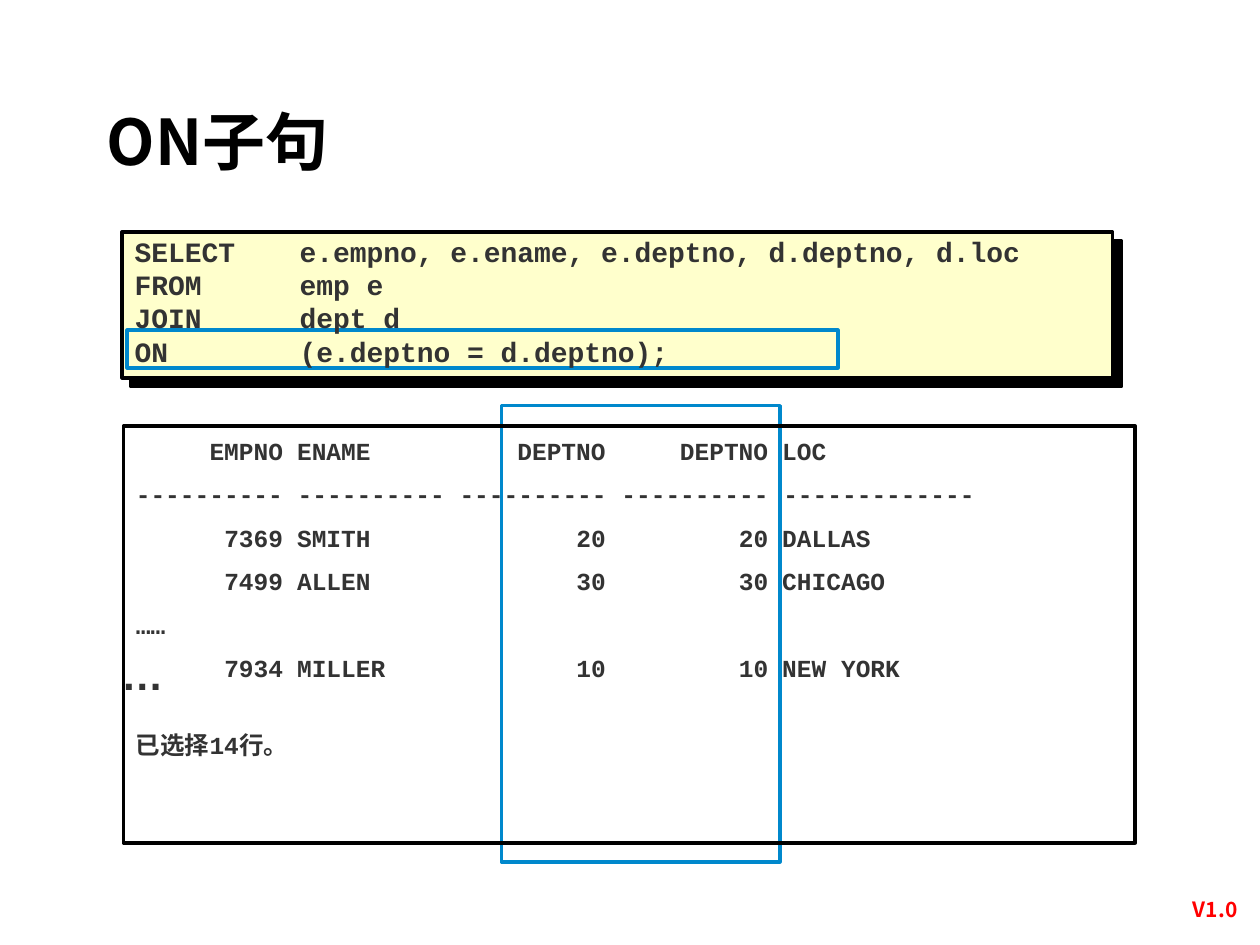
"""Build a slide that explains the ON clause of a SQL join."""
from dataclasses import dataclass
from typing import Optional

import lxml.etree
import pptx
import pptx.dml.color
import pptx.enum.shapes
import pptx.enum.text
import pptx.oxml.ns
import pptx.util

Inches = pptx.util.Inches
Pt = pptx.util.Pt
Align = pptx.enum.text.PP_ALIGN
Anchor = pptx.enum.text.MSO_ANCHOR
qn = pptx.oxml.ns.qn

COLORS = {"black": "000000", "code": "333333", "cream": "FFFFCC",
          "blue": "0088CC", "red": "FF0000"}
MONO, SANS, CJK = "Courier New", "Arial", "Noto Sans CJK SC"
CHAR = 14 * 0.6 / 72


@dataclass
class Frame:
    left: float
    top: float
    width: float
    height: float
    line: str
    fill: Optional[str] = None
    shadow: bool = False


@dataclass
class Label:
    left: float
    top: float
    width: float
    height: float
    lines: list[str]
    size: float
    font: str
    color: str = "code"
    align: Align = Align.LEFT
    anchor: Anchor = Anchor.TOP
    inset: tuple[float, float] = (0.1, 0.05)
    wrap: bool = True
    tabs: tuple[tuple[float, str], ...] = ()
    leading: Optional[float] = None
    gap: float = 0
    last_gap: Optional[float] = None


def rgb(name: str) -> pptx.dml.color.RGBColor:
    return pptx.dml.color.RGBColor.from_string(COLORS[name])


def add_shadow(shape) -> None:
    effects = shape._element.spPr.find(qn("a:effectLst"))
    shadow = lxml.etree.SubElement(effects, qn("a:outerShdw"), dist=str(Pt(7.1)),
                                   dir="2700000", algn="ctr", rotWithShape="0")
    lxml.etree.SubElement(shadow, qn("a:srgbClr"), val=COLORS["black"])


def draw_frame(page, frame: Frame) -> None:
    shape = page.shapes.add_shape(
        pptx.enum.shapes.MSO_SHAPE.RECTANGLE, Inches(frame.left), Inches(frame.top),
        Inches(frame.width), Inches(frame.height))
    shape.shadow.inherit = False
    shape.line.color.rgb = rgb(frame.line)
    shape.line.width = Pt(2)
    if frame.fill:
        shape.fill.solid()
        shape.fill.fore_color.rgb = rgb(frame.fill)
    else:
        shape.fill.background()
    if frame.shadow:
        add_shadow(shape)


def set_tabs(para, tabs: tuple[tuple[float, str], ...]) -> None:
    stops = lxml.etree.SubElement(para._p.get_or_add_pPr(), qn("a:tabLst"))
    for position, side in tabs:
        lxml.etree.SubElement(stops, qn("a:tab"), pos=str(Inches(position)), algn=side)


def draw_label(page, label: Label) -> None:
    box = page.shapes.add_textbox(Inches(label.left), Inches(label.top),
                                  Inches(label.width), Inches(label.height))
    frame = box.text_frame
    frame.word_wrap = label.wrap
    frame.vertical_anchor = label.anchor
    frame.margin_left = frame.margin_right = Inches(label.inset[0])
    frame.margin_top = frame.margin_bottom = Inches(label.inset[1])
    frame.text = "\n".join(label.lines)
    for index, para in enumerate(frame.paragraphs):
        para.alignment = label.align
        if label.leading:
            para.line_spacing = Pt(label.leading)
        para.space_before = Pt(label.gap if index else 0)
        if label.tabs:
            set_tabs(para, label.tabs)
        for span in para.runs:
            span.font.size = Pt(label.size)
            span.font.bold = True
            span.font.name = label.font
            span.font.color.rgb = rgb(label.color)
            lxml.etree.SubElement(span._r.get_or_add_rPr(), qn("a:ea"), typeface=CJK)
    if label.last_gap is not None:
        frame.paragraphs[-1].space_before = Pt(label.last_gap)


QUERY = ["SELECT\te.empno, e.ename, e.deptno, d.deptno, d.loc", "FROM\temp e",
         "JOIN\tdept d", "ON\t(e.deptno = d.deptno);"]
ROWS = [("EMPNO", "ENAME", "DEPTNO", "DEPTNO", "LOC"),
        ("7369", "SMITH", "20", "20", "DALLAS"),
        ("7499", "ALLEN", "30", "30", "CHICAGO"),
        ("7934", "MILLER", "10", "10", "NEW YORK")]
header, *records = ["\t" + "\t".join(row) for row in ROWS]
rule = " ".join("-" * width for width in (10, 10, 10, 10, 13))
RESULT = [header, rule, *records[:2], "……", records[2], "已选择14行。"]
RESULT_TABS = tuple((round(count * CHAR, 2), side) for count, side in
                    ((10, "r"), (11, "l"), (32, "r"), (43, "r"), (44, "l")))

FRAMES = [
    Frame(0.97, 1.84, 7.86, 1.16, "black", "cream", True),
    Frame(3.98, 3.22, 2.21, 3.62, "blue"),
    Frame(1.01, 2.62, 5.64, 0.3, "blue"),
    Frame(0.98, 3.38, 8.03, 3.31, "black"),
]
LABELS = [
    Label(9.25, 7.07, 0.79, 0.3, ["V1.0"], 12, CJK, "red", Align.CENTER),
    Label(0.97, 1.75, 7.56, 1.28, QUERY, 16, MONO, anchor=Anchor.MIDDLE,
          wrap=False, tabs=((1.31, "l"),), leading=19),
    Label(0.93, 5.14, 0.4, 0.43, ["…"], 24, SANS, align=Align.CENTER, inset=(0.01, 0.01)),
    Label(0.75, 0.67, 8.5, 0.88, ["ON子句"], 36, CJK, "black", anchor=Anchor.MIDDLE),
    Label(0.98, 3.38, 8.03, 3.31, RESULT, 14, MONO, inset=(0.1, 0.08),
          tabs=RESULT_TABS, gap=8, last_gap=27),
]

deck = pptx.Presentation()
deck.slide_width, deck.slide_height = Inches(10), Inches(7.5)
page = deck.slides.add_slide(deck.slide_layouts[6])
for item in FRAMES:
    draw_frame(page, item)
for item in LABELS:
    draw_label(page, item)
deck.save("out.pptx")
